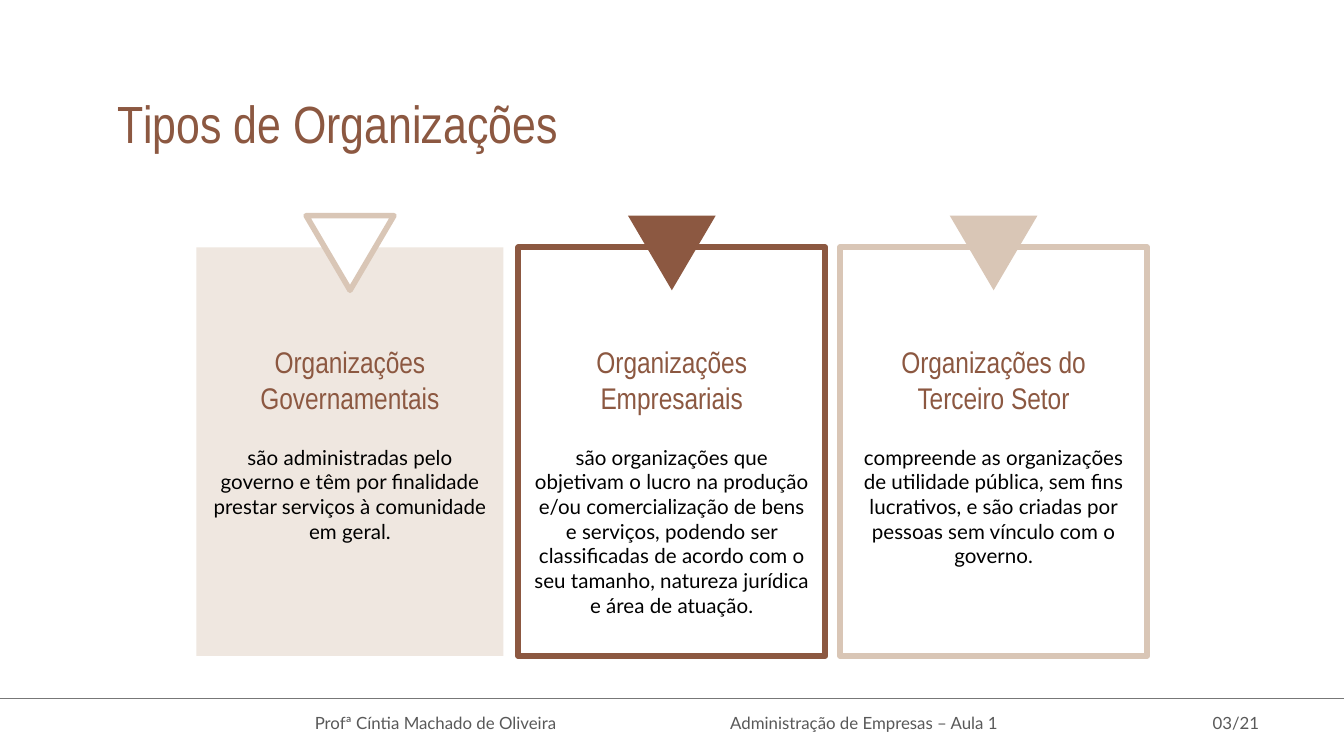
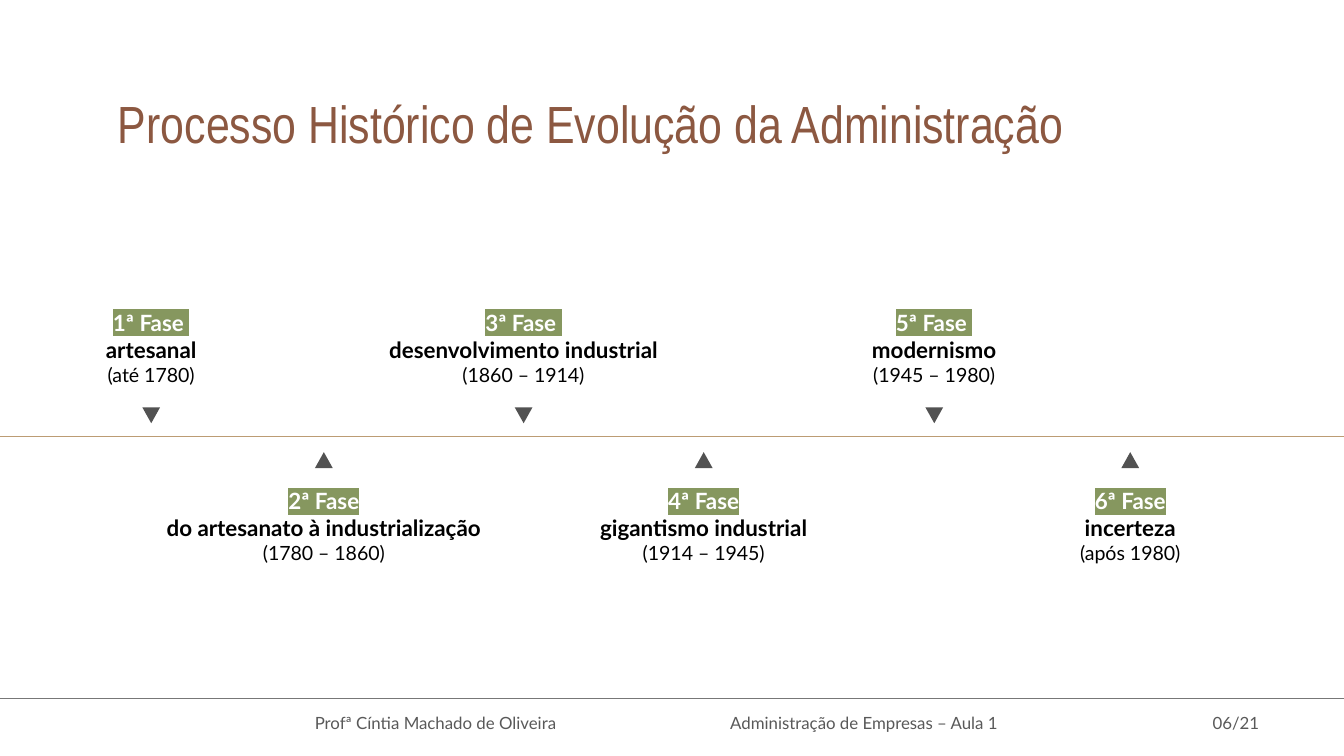
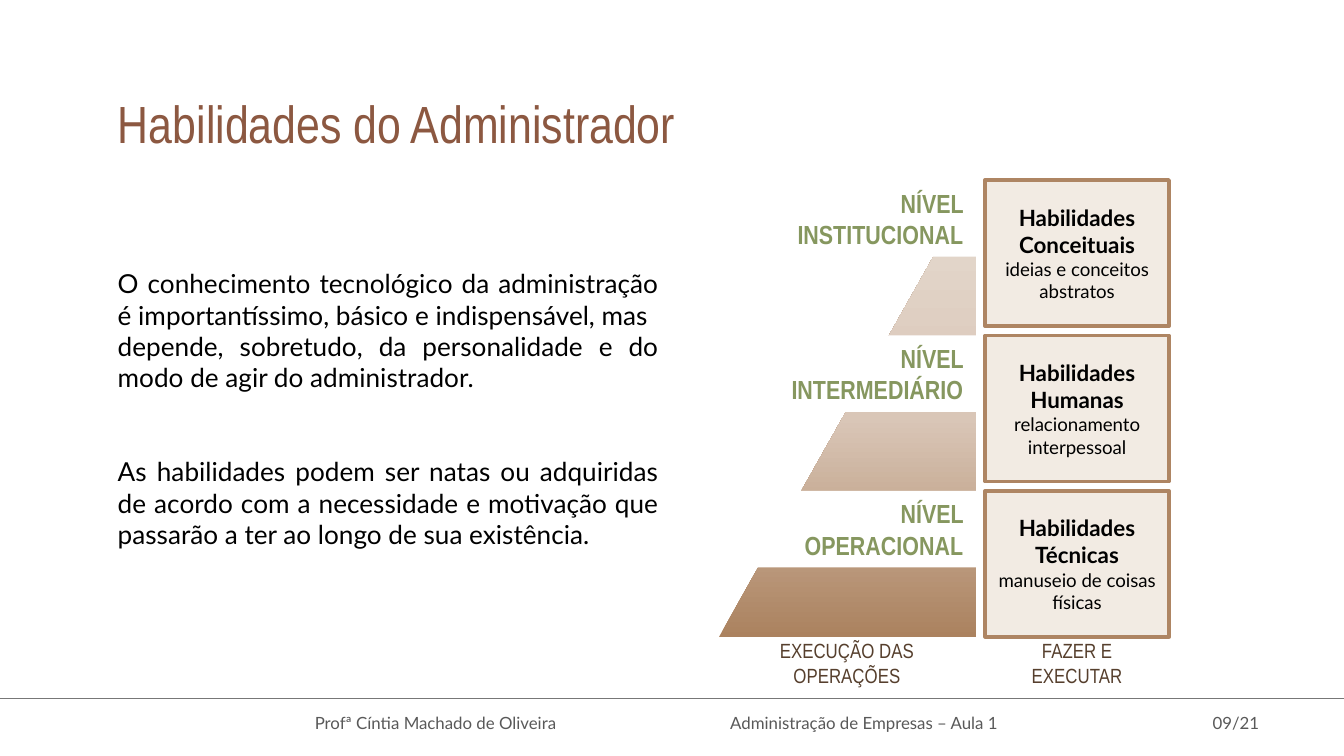
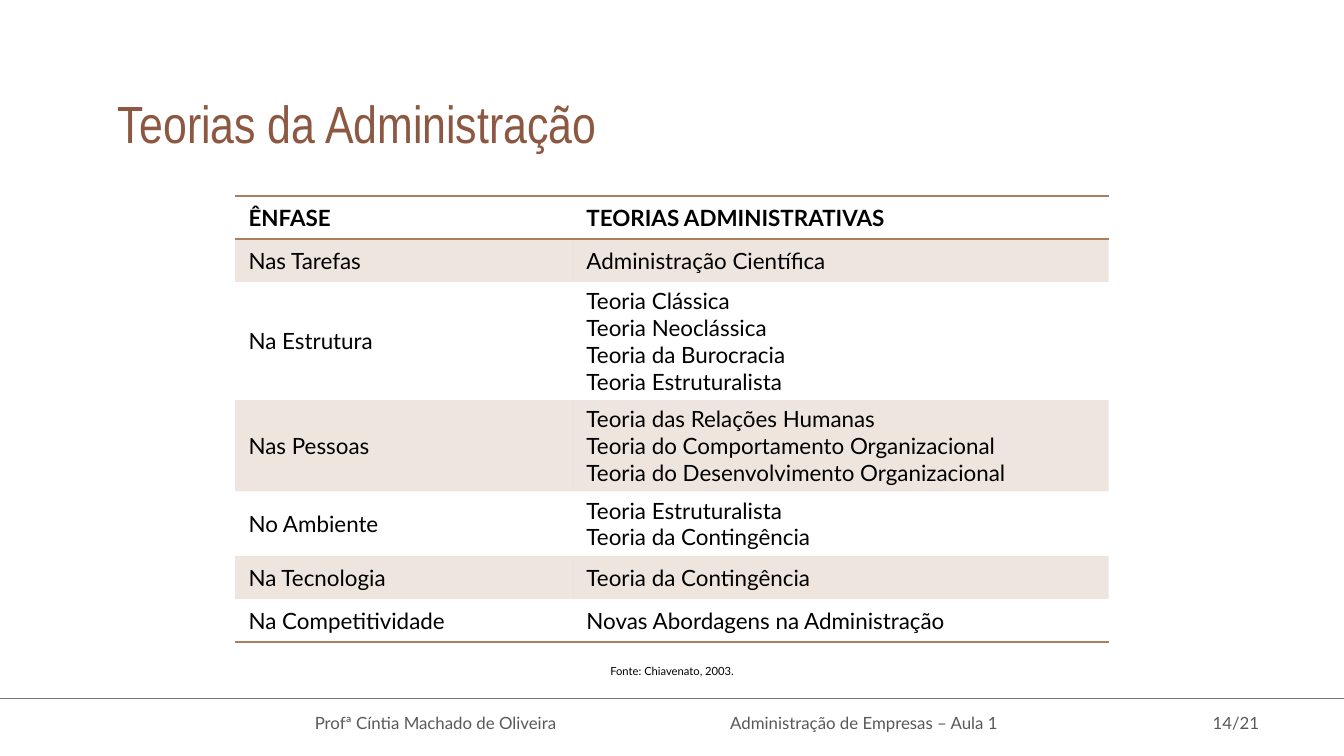
from collections import namedtuple
from copy import deepcopy

from lxml import etree
from pptx import Presentation
from pptx.dml.color import RGBColor
from pptx.enum import shapes, text
from pptx.oxml import ns
from pptx.util import Pt

BROWN = RGBColor(0x8C, 0x58, 0x41)
SAND = RGBColor(0xD9, 0xC6, 0xB6)
CREAM = RGBColor(0xEF, 0xE7, 0xE0)
PALE = RGBColor(0xF2, 0xEB, 0xE3)
TAN = RGBColor(0xAE, 0x85, 0x63)
RULE = RGBColor(0xAA, 0x80, 0x5E)
GOLD = RGBColor(0xBC, 0x9C, 0x74)
DARK = RGBColor(0x56, 0x3F, 0x2D)
GREEN = RGBColor(0x86, 0x97, 0x5F)
COAL = RGBColor(0x52, 0x52, 0x52)
GRAY = RGBColor(0x59, 0x59, 0x59)
STEEL = RGBColor(0x77, 0x77, 0x77)
BLACK = RGBColor(0, 0, 0)
WHITE = RGBColor(0xFF, 0xFF, 0xFF)
RAMP = [(0, RGBColor(0xAB, 0x82, 0x5F)), (0.48, RGBColor(0xD9, 0xC6, 0xB7)),
        (1, RGBColor(0xE7, 0xDC, 0xD2))]

NARROW, LATO = "Arial Narrow", "Lato"
Style = namedtuple("Style", "size color font bold mark", defaults=(LATO, False, None))
TITLE = Style(28, BROWN, NARROW)
FOOT = Style(9, GRAY)
HEAD = Style(16, BROWN, NARROW)
BODY = Style(11, BLACK)
PROSE = Style(14, BLACK)
PHASE = Style(12, WHITE, LATO, True, GREEN)
STRONG = Style(12, BLACK, LATO, True)
DATE = Style(10.5, BLACK)
NOTE = Style(10, BLACK)
LEVEL = Style(14, GREEN, NARROW, True)
TASK = Style(11, DARK, NARROW)
CELL = Style(12, BLACK)
SOURCE = Style(6, BLACK)

LEFT, MID, RIGHT, FULL = (text.PP_ALIGN.LEFT, text.PP_ALIGN.CENTER,
                          text.PP_ALIGN.RIGHT, text.PP_ALIGN.JUSTIFY)
TOP, CENTER = text.MSO_ANCHOR.TOP, text.MSO_ANCHOR.MIDDLE
RECT, PEAK = shapes.MSO_SHAPE.RECTANGLE, shapes.MSO_SHAPE.ISOSCELES_TRIANGLE

CARDS = [
    ("Organizações Governamentais",
     "são administradas pelo governo e têm por finalidade prestar serviços à "
     "comunidade em geral.", (CREAM, None), (WHITE, SAND)),
    ("Organizações Empresariais",
     "são organizações que objetivam o lucro na produção e/ou comercialização de "
     "bens e serviços, podendo ser classificadas de acordo com o seu tamanho, "
     "natureza jurídica e área de atuação.", (None, BROWN), (BROWN, None)),
    ("Organizações do Terceiro Setor",
     "compreende as organizações de utilidade pública, sem fins lucrativos, e são "
     "criadas por pessoas sem vínculo com o governo.", (None, SAND), (SAND, None)),
]
PHASES = [
    (81, 118, "1ª Fase ", "artesanal", "(até 1780)"),
    (173.5, 184.5, "2ª Fase", "do artesanato à industrialização", "(1780 – 1860)"),
    (280.5, 160, "3ª Fase ", "desenvolvimento industrial", "(1860 – 1914)"),
    (377, 184.5, "4ª Fase", "gigantismo industrial", "(1914 – 1945)"),
    (500.5, 160, "5ª Fase ", "modernismo", "(1945 – 1980)"),
    (605.5, 184.5, "6ª Fase", "incerteza", "(após 1980)"),
]
PROSES = [
    "O conhecimento tecnológico da administração é importantíssimo, básico e "
    "indispensável, mas ",
    "depende, sobretudo, da personalidade e do modo de agir do administrador.",
    "As habilidades podem ser natas ou adquiridas de acordo com a necessidade e "
    "motivação que passarão a ter ao longo de sua existência.",
]
SKILLS = [
    ("NÍVEL INSTITUCIONAL", "Habilidades Conceituais", "ideias e conceitos abstratos"),
    ("NÍVEL INTERMEDIÁRIO", "Habilidades Humanas", "relacionamento interpessoal"),
    ("NÍVEL OPERACIONAL", "Habilidades Técnicas", "manuseio de coisas físicas"),
]
THEORIES = [
    (23, "ÊNFASE", ["TEORIAS ADMINISTRATIVAS"]),
    (23, "Nas Tarefas", ["Administração Científica"]),
    (59, "Na Estrutura", ["Teoria Clássica", "Teoria Neoclássica",
                          "Teoria da Burocracia", "Teoria Estruturalista"]),
    (46, "Nas Pessoas", ["Teoria das Relações Humanas",
                         "Teoria do Comportamento Organizacional",
                         "Teoria do Desenvolvimento Organizacional"]),
    (32.5, "No Ambiente", ["Teoria Estruturalista", "Teoria da Contingência"]),
    (23, "Na Tecnologia", ["Teoria da Contingência"]),
    (23, "Na Competitividade", ["Novas Abordagens na Administração"]),
]


def pts(*nums):
    """Turn numbers into lengths in points."""
    return [Pt(num) for num in nums]


def add_run(para, words, style):
    """Add one styled run to a paragraph."""
    run = para.add_run()
    run.text = words
    font = run.font
    font.size, font.name, font.bold = Pt(style.size), style.font, style.bold
    font.color.rgb = style.color
    if style.mark:
        props = run._r.get_or_add_rPr()
        mark = etree.Element(ns.qn("a:highlight"))
        etree.SubElement(mark, ns.qn("a:srgbClr"), val=str(style.mark))
        props.find(ns.qn("a:solidFill")).addnext(mark)


def fill_text(frame, lines, align=MID, anchor=CENTER, inset=7.2):
    """Write (words, style) lines as paragraphs of a frame."""
    frame.word_wrap = True
    frame.vertical_anchor = anchor
    frame.margin_left = frame.margin_right = Pt(7.2)
    frame.margin_top = frame.margin_bottom = Pt(inset)
    for i, (words, style) in enumerate(lines):
        para = frame.add_paragraph() if i else frame.paragraphs[0]
        para.alignment = align
        add_run(para, words, style)


def add_text(slide, box, lines, **how):
    """Add a text box and return its frame."""
    frame = slide.shapes.add_textbox(*pts(*box)).text_frame
    fill_text(frame, lines, **how)
    return frame


def add_form(slide, kind, box, fill=None, line=None, width=3):
    """Add a flat preset shape."""
    form = slide.shapes.add_shape(kind, *pts(*box))
    form.shadow.inherit = False
    if fill is None:
        form.fill.background()
    else:
        form.fill.solid()
        form.fill.fore_color.rgb = fill
    if line is None:
        form.line.fill.background()
    else:
        form.line.color.rgb = line
        form.line.width = Pt(width)
    return form


def add_rule(slide, top, color, width):
    """Draw a line across the slide."""
    rule = slide.shapes.add_connector(shapes.MSO_CONNECTOR.STRAIGHT,
                                      *pts(0, top, 720, top))
    rule.line.color.rgb, rule.line.width = color, Pt(width)
    etree.SubElement(rule._element.spPr, ns.qn("a:effectLst"))


def start_slide(deck, title, page):
    """Add a slide with its title and footer."""
    slide = deck.slides.add_slide(deck.slide_layouts[5])
    head = slide.shapes.title
    head.left, head.top, head.width, head.height = pts(56, 45.5, 608, 41)
    fill_text(head.text_frame, [(title, TITLE)], LEFT, TOP, 3.6)
    head.text_frame.auto_size = text.MSO_AUTO_SIZE.SHAPE_TO_FIT_TEXT
    for left, width, words in [(149, 168.5, "Profª Cíntia Machado de Oliveira"),
                               (376, 173.5, "Administração de Empresas – Aula 1"),
                               (626.5, 71, f"{page:02}/21")]:
        add_text(slide, (left, 375, width, 24), [(words, FOOT)])
    add_rule(slide, 374.25, STEEL, 1)
    return slide


def add_card(slide, box, head, body, frame, tip):
    """Draw a card with a triangle on its top edge."""
    left, top, width, height = box
    add_form(slide, RECT, box, *frame)
    add_text(slide, (left, top + 98.5, width, 104.5), [(body, BODY)], anchor=TOP)
    add_text(slide, (left + width / 2 - 57, top + 44.5, 114, 48),
             [(head, HEAD)], anchor=TOP)
    peak = add_form(slide, PEAK, (left + width / 2 - 23.5, top - 17, 47, 40), *tip)
    peak.rotation = 180


def add_phase(slide, axis, above, mid, width, name, label, years):
    """Place a phase and its pointer above or below the axis."""
    peak = add_form(slide, PEAK, (mid - 4.75, axis + (-15.75 if above else 8.25),
                                  9.5, 8.5), COAL)
    peak.rotation = 180 if above else 0
    top, height = (axis - 74, 52.5) if above else (axis + 27.5, 40.5)
    add_text(slide, (mid - width / 2, top, width, height),
             [(name, PHASE), (label, STRONG), (years, DATE)])


def add_prose(slide, box):
    """Write the justified prose."""
    frame = add_text(slide, box, [(words, PROSE) for words in PROSES], align=FULL)
    frame.paragraphs[-1].space_before = Pt(33.6)


def add_slope(slide, box):
    """Draw the shaded triangle rising to the right."""
    slope = add_form(slide, shapes.MSO_SHAPE.RIGHT_TRIANGLE, box)
    slope._element.spPr.find(ns.qn("a:xfrm")).set("flipH", "1")
    slope.fill.gradient()
    slope.fill.gradient_angle = 90
    stops = slope._element.spPr.find(".//" + ns.qn("a:gsLst"))
    stops.append(deepcopy(stops[0]))
    for stop, (place, color) in zip(slope.fill.gradient_stops, RAMP):
        stop.position, stop.color.rgb = place, color


def add_stairs(slide, box):
    """Draw the levels with the skills beside them."""
    left, top, width, height = box
    slope, skill = 138, 98.5
    side = left + width - skill
    add_slope(slide, (left, top, slope, height))
    step = (height + 5) / len(SKILLS)
    for i, (level, name, note) in enumerate(SKILLS):
        y = top + i * step
        form = add_form(slide, RECT, (side, y, skill, step - 5), PALE, TAN, 2)
        fill_text(form.text_frame, [(name, STRONG), (note, NOTE)], inset=3.6)
        form = add_form(slide, RECT, (left + slope - 127, y, 127, 41), WHITE)
        fill_text(form.text_frame, [(level, LEVEL)], RIGHT, inset=3.6)
    for x, wide, words in [(left + 5, 127, "EXECUÇÃO DAS OPERAÇÕES"),
                           (side, skill, "FAZER E EXECUTAR")]:
        add_text(slide, (x, top + height + 4.5, wide, 18.5),
                 [(words, TASK)], inset=3.6)


def add_edge(cell, tags):
    """Draw the named borders of a cell."""
    props = cell._tc.get_or_add_tcPr()
    for i, tag in enumerate(tags):
        edge = etree.Element(ns.qn(tag), w=str(Pt(1)))
        fill = etree.SubElement(edge, ns.qn("a:solidFill"))
        etree.SubElement(fill, ns.qn("a:srgbClr"), val=str(RULE))
        props.insert(i, edge)


def tint_cell(cell, shade):
    """Fill a cell with a faint tint or leave it clear."""
    if not shade:
        cell.fill.background()
        return
    cell.fill.solid()
    cell.fill.fore_color.rgb = RULE
    color = cell._tc.tcPr.find(".//" + ns.qn("a:srgbClr"))
    etree.SubElement(color, ns.qn("a:alpha"), val="20000")


def add_grid(slide, left, top, widths):
    """Build the table of theories."""
    height = sum(row[0] for row in THEORIES)
    grid = slide.shapes.add_table(len(THEORIES), len(widths),
                                  *pts(left, top, sum(widths), height)).table
    grid.first_row = grid.horz_banding = False
    look = grid._tbl.tblPr.find(ns.qn("a:tableStyleId"))
    look.text = "{2D5ABB26-0587-4C30-8999-92F81FD0307C}"
    for col, width in zip(grid.columns, widths):
        col.width = Pt(width)
    edges = {0: ("a:lnT", "a:lnB"), len(THEORIES) - 1: ("a:lnB",)}
    for r, (tall, focus, names) in enumerate(THEORIES):
        grid.rows[r].height = Pt(tall)
        for c, words in enumerate([[focus], names]):
            cell = grid.cell(r, c)
            style = CELL if r else STRONG
            fill_text(cell.text_frame, [(word, style) for word in words], LEFT)
            cell.vertical_anchor = CENTER
            cell.margin_left = cell.margin_right = Pt(7.2)
            cell.margin_top = cell.margin_bottom = Pt(2.88)
            tint_cell(cell, r % 2)
            add_edge(cell, edges.get(r, ()))


def make_types(deck):
    """Build the slide of organisation types."""
    slide = start_slide(deck, "Tipos de Organizações", 3)
    for i, card in enumerate(CARDS):
        add_card(slide, (105.25 + 172.4 * i, 132.5, 164.5, 219), *card)


def make_phases(deck):
    """Build the timeline slide."""
    slide = start_slide(deck, "Processo Histórico de Evolução da Administração", 6)
    add_rule(slide, 234, GOLD, 0.75)
    for i, phase in enumerate(PHASES):
        add_phase(slide, 234, i % 2 == 0, *phase)


def make_skills(deck):
    """Build the slide of skills and levels."""
    slide = start_slide(deck, "Habilidades do Administrador", 9)
    add_prose(slide, (56, 96.5, 304, 245))
    add_stairs(slide, (385.25, 96.5, 241, 244.75))


def make_theories(deck):
    """Build the slide with the table."""
    slide = start_slide(deck, "Teorias da Administração", 14)
    add_grid(slide, 126, 105, [181, 287])
    add_text(slide, (229, 350.5, 262, 17.5), [("Fonte: Chiavenato, 2003.", SOURCE)])


def main():
    """Build and save the deck."""
    deck = Presentation()
    deck.slide_width, deck.slide_height = pts(720, 405)
    for make in (make_types, make_phases, make_skills, make_theories):
        make(deck)
    deck.save("out.pptx")


if __name__ == "__main__":
    main()
